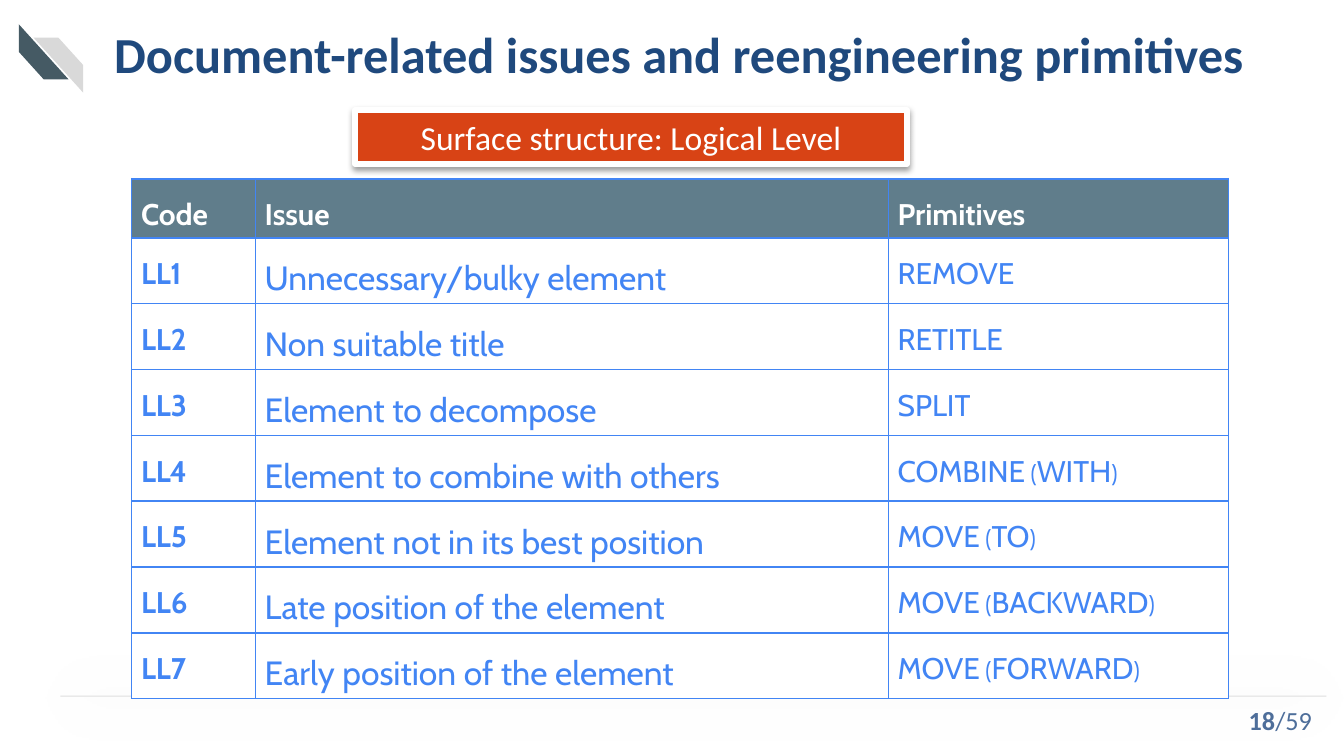
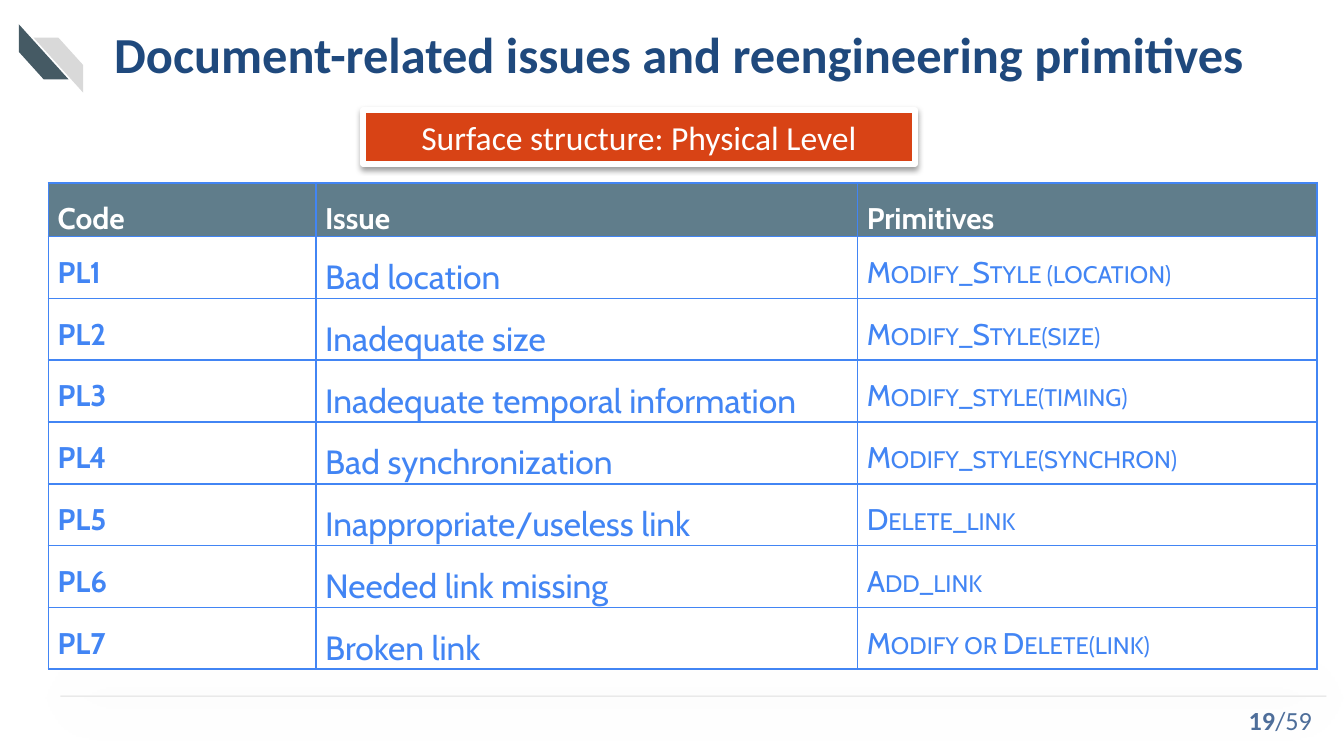
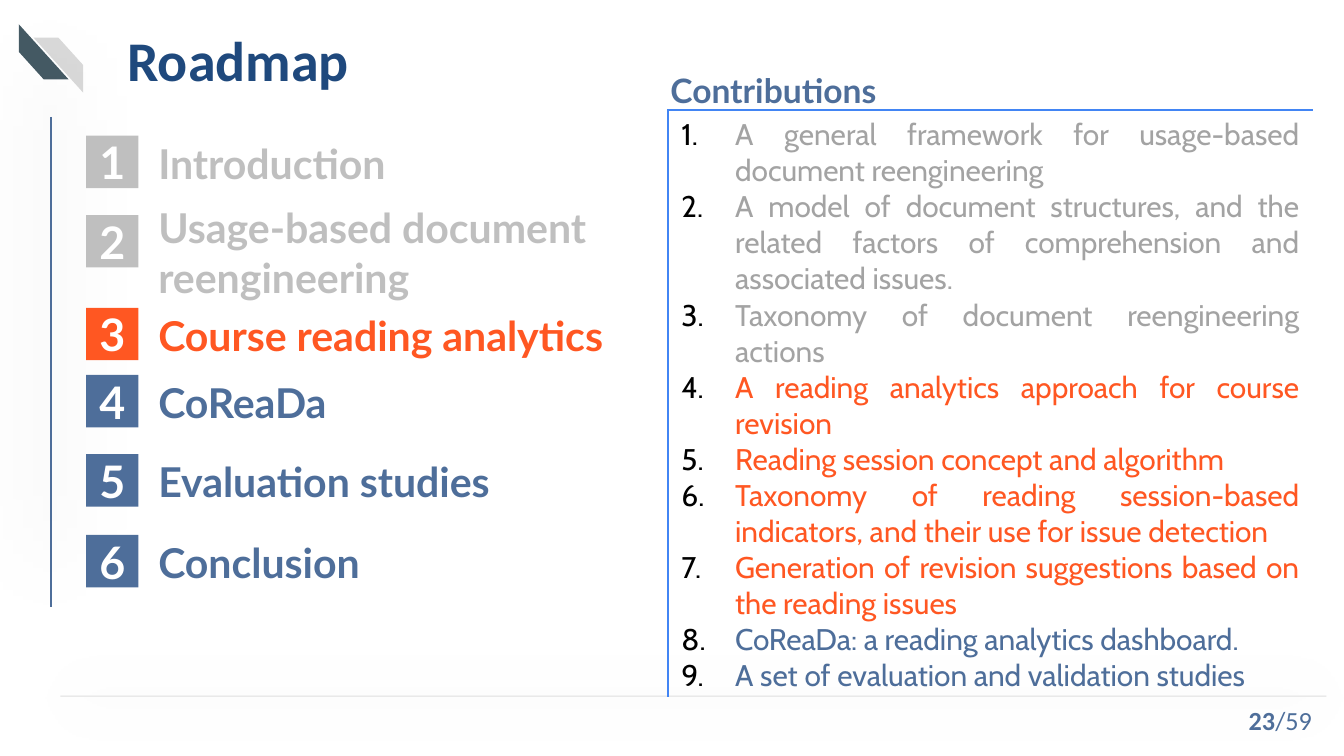
from dataclasses import dataclass
from typing import Any, NamedTuple

from pptx import Presentation
from pptx import util as u
from pptx.dml.color import RGBColor
from pptx.enum import shapes, text
from pptx.oxml import parse_xml
from pptx.oxml.ns import nsdecls, qn

NAVY, SLATE, BLUE = "1F497D", "4E6E9A", "4285F4"
WHITE, BLACK, PALE, GREY, DIM = "FFFFFF", "000000", "D9D9D9", "BFBFBF", "A3A3A3"
STEEL, HEADER, RUST, ORANGE = "455A64", "607D8B", "D84315", "FF5722"
CENTER, RIGHT, JUSTIFY = text.PP_ALIGN.CENTER, text.PP_ALIGN.RIGHT, text.PP_ALIGN.JUSTIFY
MIDDLE = text.MSO_ANCHOR.MIDDLE
PAGE_WIDTH = u.Inches(10)
PAGE_HEIGHT = PAGE_WIDTH * 9 // 16
LAST_PAGE = 59


class Area(NamedTuple):
    left: float
    top: float
    width: float
    height: float

    def lengths(self) -> list[u.Length]:
        return [u.Inches(value) for value in self]


class Margins(NamedTuple):
    left: float = 0.1
    top: float = 0.05
    right: float = 0.1
    bottom: float = 0.05


class Shadow(NamedTuple):
    opacity: int
    blur: float
    distance: float
    angle: int


@dataclass(frozen=True)
class Style:
    font: str
    size: float
    color: str
    bold: bool = False
    small_caps: bool = False


class Span(NamedTuple):
    words: str
    style: Style


@dataclass(frozen=True)
class IssueTable:
    page: int
    level: str
    banner_left: float
    area: Area
    columns: tuple[float, ...]
    header_height: float
    row_height: float
    prefix: str
    rows: tuple[tuple[str, str], ...]


@dataclass(frozen=True)
class Stage:
    lines: tuple[str, ...]
    color: str
    text_top: float
    badge_top: float


ISSUE_TITLE = Style("Calibri", 27, NAVY, bold=True)
ROADMAP_TITLE = Style("Calibri", 30, NAVY, bold=True)
BANNER = Style("Calibri", 18, WHITE)
PAGE_NOW = Style("Calibri", 14, SLATE, bold=True)
PAGE_TOTAL = Style("Calibri", 14, SLATE)
HEADING = Style("Cabin", 16, WHITE, bold=True)
CELL_STYLES = (
    Style("Cabin", 16, BLUE, bold=True),
    Style("Cabin", 18, BLUE),
    Style("Cabin", 16, BLUE, small_caps=True),
)
BADGE = Style("Lato", 24, WHITE, bold=True)
SUBHEAD = Style("Lato", 18, SLATE, bold=True)
EVEN = Margins(0.1, 0.1, 0.1, 0.1)

ISSUE_TABLES = (
    IssueTable(
        18, "Logical", 2.64, Area(0.98, 1.33, 8.15, 3.88), (0.92, 4.71, 2.53), 0.44, 0.49, "LL",
        (
            ("Unnecessary/bulky element", "REMOVE"),
            ("Non suitable title", "RETITLE"),
            ("Element to decompose", "SPLIT"),
            ("Element to combine with others", "COMBINE (WITH)"),
            ("Element not in its best position", "MOVE (TO)"),
            ("Late position of the element", "MOVE (BACKWARD)"),
            ("Early position of the element", "MOVE (FORWARD)"),
        ),
    ),
    IssueTable(
        19, "Physical", 2.7, Area(0.36, 1.36, 9.45, 3.23), (1.99, 4.03, 3.42), 0.4, 0.46, "PL",
        (
            ("Bad location", "Modify_Style (location)"),
            ("Inadequate size", "Modify_Style(size)"),
            ("Inadequate temporal information", "Modify_style(timing)"),
            ("Bad synchronization", "Modify_style(synchron)"),
            ("Inappropriate/useless link", "Delete_link"),
            ("Needed link missing", "Add_link"),
            ("Broken link", "Modify or Delete(link)"),
        ),
    ),
)

STAGES = (
    Stage(("Introduction",), GREY, 0.98, 1.01),
    Stage(("Usage-based document", "reengineering"), GREY, 1.46, 1.6),
    Stage(("Course reading analytics",), ORANGE, 2.26, 2.29),
    Stage(("CoReaDa",), SLATE, 2.76, 2.79),
    Stage(("Evaluation studies",), SLATE, 3.35, 3.38),
    Stage(("Conclusion",), SLATE, 3.95, 3.98),
)

CONTRIBUTIONS = (
    ("A general framework for usage-based document reengineering", DIM),
    ("A model of document structures, and the related factors of comprehension "
     "and associated issues. ", DIM),
    ("Taxonomy of document reengineering actions", DIM),
    ("A reading analytics approach for course revision", ORANGE),
    ("Reading session concept and algorithm", ORANGE),
    ("Taxonomy of reading session-based indicators, and their use for issue detection", ORANGE),
    ("Generation of revision suggestions based on the reading issues", ORANGE),
    ("CoReaDa: a reading analytics dashboard.", SLATE),
    ("A set of evaluation and validation studies", SLATE),
)


def rgb(color: str) -> RGBColor:
    return RGBColor.from_string(color)


def assign(target: Any, values: dict[str, Any]) -> None:
    for name, value in values.items():
        setattr(target, name, value)


def set_margins(target: Any, margins: Margins) -> None:
    assign(target, {f"margin_{side}": u.Inches(size) for side, size in margins._asdict().items()})


def add_span(para: Any, words: str, style: Style) -> None:
    span = para.add_run()
    span.text = words
    assign(span.font, {"name": style.font, "size": u.Pt(style.size), "bold": style.bold})
    span.font.color.rgb = rgb(style.color)
    if style.small_caps:
        span.font._element.set("cap", "small")


def write(frame: Any, lines: list[list[Span]], **layout: Any) -> list[Any]:
    """Fill a text frame, one paragraph for each list of spans."""
    paras = []
    for index, spans in enumerate(lines):
        para = frame.add_paragraph() if index else frame.paragraphs[0]
        assign(para, layout)
        for span in spans:
            add_span(para, *span)
        paras.append(para)
    return paras


def add_text(page: Any, area: Area, lines: list[list[Span]], margins: Margins = Margins(),
             anchor: Any = text.MSO_ANCHOR.TOP, wrap: bool = True, align: Any = None) -> None:
    frame = page.shapes.add_textbox(*area.lengths()).text_frame
    assign(frame, {"word_wrap": wrap, "vertical_anchor": anchor})
    set_margins(frame, margins)
    write(frame, lines, alignment=align)


def add_block(page: Any, kind: Any, area: Area, fill: str) -> Any:
    block = page.shapes.add_shape(kind, *area.lengths())
    block.shadow.inherit = False
    block.fill.solid()
    block.fill.fore_color.rgb = rgb(fill)
    block.line.fill.background()
    return block


def set_shadow(shape: Any, shadow: Shadow) -> None:
    properties = shape._element.spPr
    for effects in properties.findall(qn("a:effectLst")):
        properties.remove(effects)
    properties.append(parse_xml(
        f'<a:effectLst {nsdecls("a")}><a:outerShdw blurRad="{u.Pt(shadow.blur)}" '
        f'dist="{u.Pt(shadow.distance)}" dir="{shadow.angle * 60000}" rotWithShape="0">'
        f'<a:srgbClr val="{BLACK}"><a:alpha val="{shadow.opacity * 1000}"/></a:srgbClr>'
        "</a:outerShdw></a:effectLst>"))


def add_rule(page: Any, start: tuple[float, float], end: tuple[float, float], color: str,
             width: float, shadow: Shadow, opacity: int = 100) -> None:
    ends = [u.Inches(value) for value in (*start, *end)]
    rule = page.shapes.add_connector(shapes.MSO_CONNECTOR.STRAIGHT, *ends)
    rule.line.color.rgb = rgb(color)
    rule.line.width = u.Pt(width)
    shade = rule._element.spPr.find(".//" + qn("a:srgbClr"))
    shade.append(parse_xml(f'<a:alpha {nsdecls("a")} val="{opacity * 1000}"/>'))
    set_shadow(rule, shadow)


def add_grid(page: Any, area: Area, columns: tuple[float, ...], heights: list[float]) -> Any:
    table = page.shapes.add_table(len(heights), len(columns), *area.lengths()).table
    assign(table, {"first_row": False, "horz_banding": False})
    for column, width in zip(table.columns, columns):
        column.width = u.Inches(width)
    for row, height in zip(table.rows, heights):
        row.height = u.Inches(height)
    return table


def set_borders(cell: Any, sides: str) -> None:
    """Draw the named sides (of L, R, T, B) and clear the others; call before filling."""
    properties = cell._tc.get_or_add_tcPr()
    for side in "LRTB":
        paint = f'<a:solidFill><a:srgbClr val="{BLUE}"/></a:solidFill>'
        if side not in sides:
            paint = "<a:noFill/>"
        properties.append(parse_xml(
            f'<a:ln{side} {nsdecls("a")} w="{u.Pt(1)}">{paint}</a:ln{side}>'))


def number_para(para: Any, start: int) -> None:
    properties = para._p.get_or_add_pPr()
    indent = u.Inches(0.4)
    properties.set("marL", str(indent))
    properties.set("indent", str(-indent))
    start_at = f' startAt="{start}"' if start > 1 else ""
    for mark in (f'<a:buClr {nsdecls("a")}><a:srgbClr val="{BLACK}"/></a:buClr>',
                 f'<a:buAutoNum {nsdecls("a")} type="arabicPeriod"{start_at}/>'):
        properties.append(parse_xml(mark))


def add_page(deck: Any, number: int) -> Any:
    """Add a blank page with the corner stripes, footer rule and page number."""
    page = deck.slides.add_slide(deck.slide_layouts[6])
    stripe = shapes.MSO_SHAPE.DIAGONAL_STRIPE
    add_block(page, stripe, Area(0.12, 0.2, 0.41, 0.37), STEEL).rotation = 270
    pale = add_block(page, stripe, Area(0.25, 0.28, 0.37, 0.41), PALE)
    pale._element.spPr.find(qn("a:xfrm")).set("flipH", "1")
    add_rule(page, (9.87, 5.18), (0.45, 5.18), PALE, 0.5, Shadow(39, 31, 0, 0), 83)
    add_text(page, Area(7.06, 5.21, 2.8, 0.3),
             [[Span(str(number), PAGE_NOW), Span(f"/{LAST_PAGE}", PAGE_TOTAL)]],
             anchor=MIDDLE, align=RIGHT)
    return page


def add_issue_page(deck: Any, issues: IssueTable) -> None:
    page = add_page(deck, issues.page)
    title = "Document-related issues and reengineering primitives"
    add_text(page, Area(0.85, 0.08, 8.9, 0.63), [[Span(title, ISSUE_TITLE)]],
             Margins(0, 0, 0, 0), MIDDLE)

    heights = [issues.header_height] + [issues.row_height] * len(issues.rows)
    table = add_grid(page, issues.area, issues.columns, heights)
    rows = [("Code", "Issue", "Primitives")]
    rows += [(f"{issues.prefix}{n}", *row) for n, row in enumerate(issues.rows, 1)]
    for r, row in enumerate(rows):
        for c, words in enumerate(row):
            cell = table.cell(r, c)
            set_margins(cell, Margins(0.07, 0, 0.07, 0))
            set_borders(cell, "LRTB")
            cell.fill.solid()
            cell.fill.fore_color.rgb = rgb(WHITE if r else HEADER)
            style = CELL_STYLES[c] if r else HEADING
            write(cell.text_frame, [[Span(words, style)]], line_spacing=1.5)

    banner = add_block(page, shapes.MSO_SHAPE.RECTANGLE,
                       Area(issues.banner_left, 0.82, 4.11, 0.4), RUST)
    banner.line.color.rgb = rgb(WHITE)
    banner.line.width = u.Pt(3)
    set_shadow(banner, Shadow(38, 3.1, 1.6, 90))
    banner.text_frame.vertical_anchor = text.MSO_ANCHOR.TOP
    write(banner.text_frame, [[Span(f"Surface structure: {issues.level} Level", BANNER)]],
          alignment=CENTER)


def add_stage(page: Any, number: int, stage: Stage) -> None:
    label = Style("Lato", 22, stage.color, bold=True)
    add_text(page, Area(1.08, stage.text_top, 6.3, 0.39),
             [[Span(line, label)] for line in stage.lines])
    badge = add_block(page, shapes.MSO_SHAPE.RECTANGLE,
                      Area(0.64, stage.badge_top, 0.39, 0.39), stage.color)
    set_margins(badge.text_frame, EVEN)
    badge.text_frame.vertical_anchor = MIDDLE
    write(badge.text_frame, [[Span(str(number), BADGE)]], alignment=CENTER)


def add_roadmap_page(deck: Any) -> None:
    page = add_page(deck, 23)
    add_text(page, Area(0.85, 0.09, 8.92, 0.63), [[Span("Roadmap", ROADMAP_TITLE)]], EVEN)
    add_rule(page, (0.38, 0.87), (0.38, 4.52), SLATE, 1.5, Shadow(50, 45, 27, 268))
    for number, stage in enumerate(STAGES, 1):
        add_stage(page, number, stage)

    area = Area(4.97, 0.82, 4.8, 4.1)
    cell = add_grid(page, area, (area.width,), [area.height]).cell(0, 0)
    set_borders(cell, "LT")
    cell.fill.background()
    lines = [[Span(words, Style("Cabin", 16, color))] for words, color in CONTRIBUTIONS]
    paras = write(cell.text_frame, lines, alignment=JUSTIFY)
    for index, para in enumerate(paras):
        number_para(para, 1 if index < 4 else 5)
    add_text(page, Area(4.89, 0.47, 1.84, 0.4), [[Span("Contributions", SUBHEAD)]], wrap=False)


def main() -> None:
    deck = Presentation()
    assign(deck, {"slide_width": PAGE_WIDTH, "slide_height": PAGE_HEIGHT})
    for issues in ISSUE_TABLES:
        add_issue_page(deck, issues)
    add_roadmap_page(deck)
    deck.save("out.pptx")


if __name__ == "__main__":
    main()
